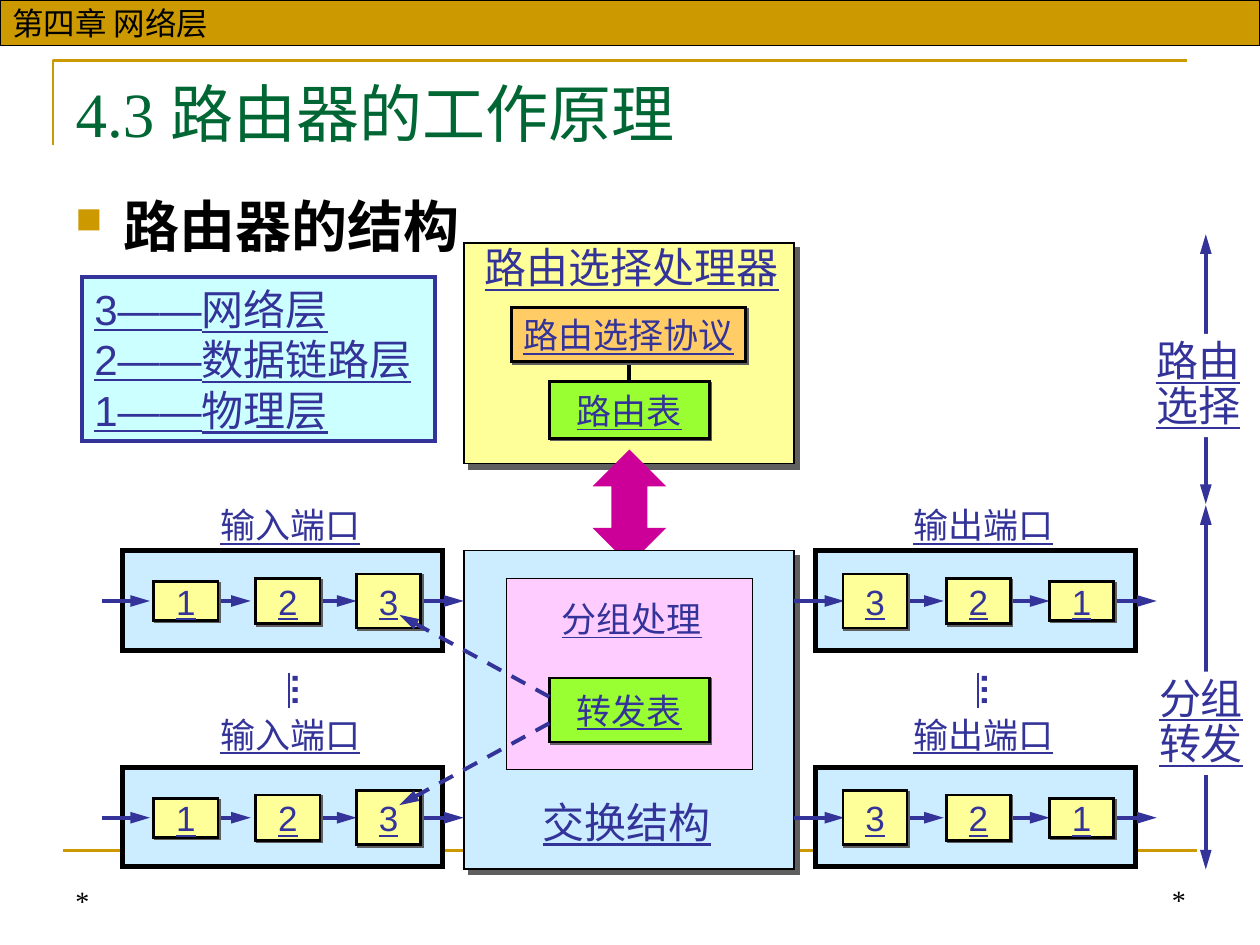
from lxml import etree
from pptx import Presentation
from pptx.dml.color import RGBColor
from pptx.enum.dml import MSO_LINE
from pptx.enum.shapes import MSO_CONNECTOR, MSO_SHAPE
from pptx.enum.text import MSO_ANCHOR, MSO_AUTO_SIZE, PP_ALIGN
from pptx.oxml.ns import qn
from pptx.util import Inches, Pt

RECTANGLE = MSO_SHAPE.RECTANGLE
DOUBLE_ARROW = MSO_SHAPE.UP_DOWN_ARROW
STRAIGHT = MSO_CONNECTOR.STRAIGHT
DASH = MSO_LINE.DASH
TOP, MIDDLE, BOTTOM = MSO_ANCHOR.TOP, MSO_ANCHOR.MIDDLE, MSO_ANCHOR.BOTTOM
LEFT, CENTER, RIGHT = PP_ALIGN.LEFT, PP_ALIGN.CENTER, PP_ALIGN.RIGHT
FIXED, GROW = MSO_AUTO_SIZE.NONE, MSO_AUTO_SIZE.SHAPE_TO_FIT_TEXT

BLACK, WHITE, INDIGO, GOLD = "000000", "FFFFFF", "333399", "CC9900"
YELLOW, GREEN, SKY = "FFFF99", "99FF33", "CCECFF"
SANS, SERIF, CHINESE = "Arial", "Times New Roman", "Noto Sans CJK SC"


def color(value):
    return RGBColor.from_string(value)


def child(parent, tag, **attributes):
    return etree.SubElement(parent, qn(tag), attributes)


def write_text(shape, text, size=20, font=SANS, fill=INDIGO, bold=False, underline=True,
               align=LEFT, anchor=TOP, wrap=False, auto_size=FIXED, spacing=None, bullet=None):
    """Fill a shape with one paragraph per line of text."""
    frame = shape.text_frame
    frame.text = text
    frame.word_wrap, frame.auto_size, frame.vertical_anchor = wrap, auto_size, anchor
    frame.margin_left = frame.margin_right = Inches(0.1)
    frame.margin_top = frame.margin_bottom = Inches(0.05)
    for paragraph in frame.paragraphs:
        paragraph.alignment = align
        if spacing:
            paragraph.line_spacing = spacing
        if bullet:
            properties = paragraph._p.get_or_add_pPr()
            indent = Inches(0.38)
            properties.set("marL", str(indent))
            properties.set("indent", str(-indent))
            child(child(properties, "a:buClr"), "a:srgbClr", val=GOLD)
            child(properties, "a:buSzPct", val="65000")
            child(properties, "a:buChar", char=bullet)
        for run in paragraph.runs:
            run.font.size, run.font.name = Pt(size), font
            run.font.bold, run.font.underline = bold, underline
            run.font.color.rgb = color(fill)
            child(run._r.get_or_add_rPr(), "a:ea", typeface=CHINESE)


class SlideBuilder:
    def __init__(self, presentation):
        self.slide = presentation.slides.add_slide(presentation.slide_layouts[5])
        self.shapes = self.slide.shapes

    def title(self, text, left, top, width, height):
        shape = self.shapes.title
        shape.left, shape.top = Inches(left), Inches(top)
        shape.width, shape.height = Inches(width), Inches(height)
        write_text(shape, text, 36, SERIF, "006633", underline=False, wrap=True)

    def text(self, text, left, top, width, height, rotation=0, **style):
        box = self.shapes.add_textbox(Inches(left), Inches(top), Inches(width), Inches(height))
        box.rotation = rotation
        write_text(box, text, **style)

    def label(self, text, left, top, width=1.31, height=0.44, **style):
        self.text(text, left, top, width, height, auto_size=GROW, **style)

    def block(self, left, top, width, height, fill, line=BLACK, weight=1.5, shadow=0, kind=RECTANGLE):
        shape = self.shapes.add_shape(kind, Inches(left), Inches(top), Inches(width), Inches(height))
        shape.shadow.inherit = False
        shape.fill.solid()
        shape.fill.fore_color.rgb = color(fill)
        if line:
            shape.line.color.rgb = color(line)
            shape.line.width = Pt(weight)
            child(shape.line._get_or_add_ln(), "a:miter", lim="800000")
        else:
            shape.line.fill.background()
        if shadow:
            effects = shape._element.spPr.find(qn("a:effectLst"))
            outer = child(effects, "a:outerShdw", blurRad="0", dist=str(Pt(shadow)),
                          dir="2700000", algn="ctr", rotWithShape="0")
            child(outer, "a:srgbClr", val="5F5F5F")
        return shape

    def box(self, text, left, top, width, height, fill):
        """Small shadowed box with centred text."""
        shape = self.block(left, top, width, height, fill, shadow=1.4)
        write_text(shape, text, align=CENTER, anchor=MIDDLE)

    def line(self, x1, y1, x2, y2, fill=INDIGO, weight=2.25, head=False, tail=False, dash=None):
        connector = self.shapes.add_connector(STRAIGHT, Inches(x1), Inches(y1), Inches(x2), Inches(y2))
        connector.line.color.rgb = color(fill)
        connector.line.width = Pt(weight)
        if dash:
            connector.line.dash_style = dash
        outline = connector.line._get_or_add_ln()
        for wanted, tag in ((head, "a:headEnd"), (tail, "a:tailEnd")):
            if wanted:
                child(outline, tag, type="triangle", w="med", len="lg")
        child(connector._element.spPr, "a:effectLst")

    def corner(self, left, top, right, bottom):
        builder = self.shapes.build_freeform(Inches(left), Inches(bottom))
        builder.add_line_segments([(Inches(left), Inches(top)), (Inches(right), Inches(top))], close=False)
        shape = builder.convert_to_shape()
        shape.shadow.inherit = False
        shape.fill.background()
        shape.line.color.rgb = color(GOLD)
        shape.line.width = Pt(1.5)

    def port(self, left, top, arrows, layers):
        """Draw a port: arrows are (start, end) pairs, layers are (number, left) pairs."""
        self.block(left, top, 2.54, 0.79, SKY, weight=3)
        middle = top + 0.4
        for start, end in arrows:
            self.line(start, middle, end, middle, tail=True)
        for number, layer_left in layers:
            height = {1: 0.31, 2: 0.36, 3: 0.43}[number]
            self.box(str(number), layer_left, middle - height / 2, 0.51, height, YELLOW)

    def span(self, text, top, bottom, label_left, label_top):
        """Vertical double arrow with a label over its middle."""
        self.line(9.57, top, 9.57, bottom, head=True, tail=True)
        shape = self.block(label_left, label_top, 0.88, 0.82, WHITE, line=None)
        write_text(shape, text, 24, spacing=0.9)


def main():
    presentation = Presentation()
    presentation.slide_width, presentation.slide_height = Inches(10), Inches(7.5)
    page = SlideBuilder(presentation)

    page.corner(0.42, 0.48, 9.42, 1.15)
    page.line(0.5, 6.75, 9.5, 6.75, GOLD, 1.5)
    plain = dict(fill=BLACK, underline=False, wrap=True)
    header = page.block(0, 0, 10, 0.36, GOLD, weight=0.75)
    write_text(header, "第四章 网络层", 18, anchor=MIDDLE, **plain)
    footer = dict(size=16, font=SERIF, anchor=BOTTOM, **plain)
    page.text("*", 0.5, 6.83, 2.33, 0.5, **footer)
    page.text("*", 6.34, 6.82, 3.17, 0.5, align=RIGHT, **footer)
    page.title("4.3 路由器的工作原理", 0.5, 0.54, 9, 0.77)
    page.text("路由器的结构", 0.5, 1.47, 9, 0.71, size=32, font=CHINESE, bold=True, bullet="■", **plain)

    # Routing processor
    page.block(3.68, 1.93, 2.62, 1.75, YELLOW, weight=1, shadow=4.2)
    arrow = page.block(4.74, 3.59, 0.51, 0.87, "CC0099", "CC0099", 2.25, kind=DOUBLE_ARROW)
    arrow.adjustments[0], arrow.adjustments[1] = 0.34, 0.5
    page.label("路由选择处理器", 3.75, 1.87, 2.53, 0.5, size=24)
    page.line(4.99, 2.76, 4.99, 3.02, BLACK)
    page.box("路由选择协议", 4.06, 2.44, 1.86, 0.43, "FFCC66")
    page.box("路由表", 4.36, 3.03, 1.27, 0.45, GREEN)

    # Switching fabric
    page.block(3.68, 4.37, 2.62, 2.53, SKY, weight=1, shadow=4.2)
    page.label("交换结构", 4.21, 6.27, 1.53, 0.5, size=24)
    page.block(4.02, 4.59, 1.95, 1.52, "FFCCFF", weight=0.75)
    page.box("转发表", 4.36, 5.38, 1.27, 0.51, GREEN)
    page.label("分组处理", 4.36, 4.69)

    # Input and output ports
    input_arrows = [(0.81, 1.19), (1.65, 1.99), (2.5, 2.83), (3.34, 3.68)]
    output_arrows = [(6.3, 6.7), (7.15, 7.49), (7.99, 8.33), (8.83, 9.18)]
    for port_top, label_top in ((4.37, 3.95), (6.09, 5.61)):
        page.port(0.97, port_top, input_arrows, [(1, 1.22), (2, 2.03), (3, 2.83)])
        page.port(6.47, port_top, output_arrows, [(3, 6.69), (2, 7.51), (1, 8.33)])
        page.label("输入端口", 1.65, label_top)
        page.label("输出端口", 7.15, label_top)
    for left in (2.19, 7.66):
        page.label("…", left, 5.26, 0.48, rotation=90, bold=True)
    for start, end in ((5.53, 4.88), (5.74, 6.39)):
        page.line(4.36, start, 3.17, end, tail=True, dash=DASH)

    page.span("路由\n选择", 1.86, 4, 9.08, 2.65)
    page.span("分组\n转发", 4.01, 6.9, 9.1, 5.33)
    legend = page.block(0.65, 2.2, 2.8, 1.3, "CCFFFF", INDIGO, 2.25)
    write_text(legend, "3——网络层\n2——数据链路层\n1——物理层", 24, auto_size=GROW)
    presentation.save("out.pptx")


if __name__ == "__main__":
    main()
